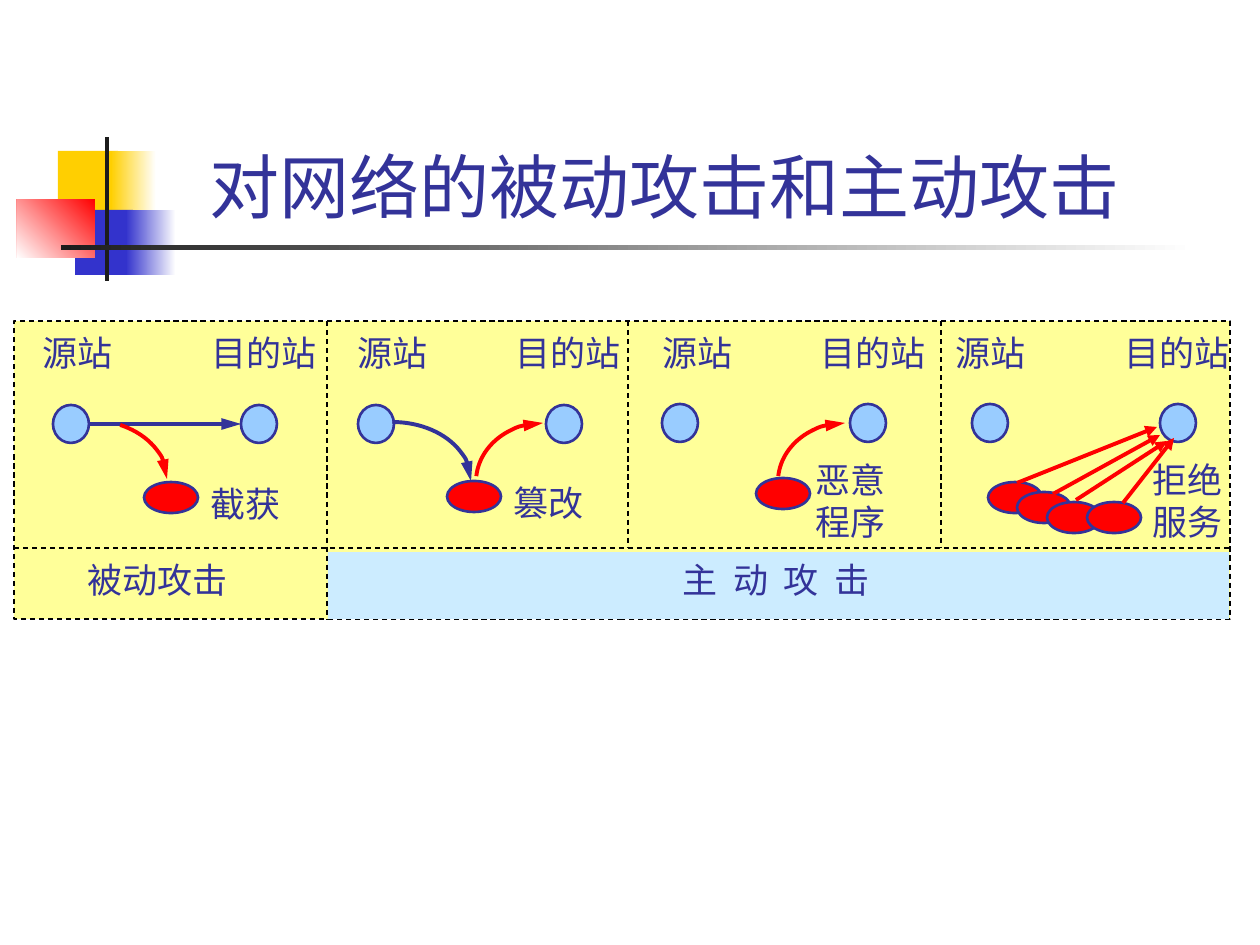
"""Build a slide that compares passive and active network attacks."""
from dataclasses import dataclass
from typing import Optional

from lxml import etree
from pptx import Presentation
from pptx import util as u
from pptx.dml import color
from pptx.enum import dml, shapes, text
from pptx.oxml import ns

PX = 914400 / 126
FONT = "Arial"
COLORS = {
    "ink": "333399", "black": "000000", "white": "FFFFFF", "panel": "FFFF99",
    "active": "CCECFF", "station": "99CCFF", "attack": "FF0000",
    "yellow": "FFCF01", "blue": "3333CC", "dark": "1C1C1C",
}


@dataclass(frozen=True)
class Box:
    left: int
    top: int
    width: int
    height: int


@dataclass(frozen=True)
class Block:
    box: Box
    start: str
    end: Optional[str] = None
    angle: int = 180


@dataclass(frozen=True)
class Label:
    wording: str
    box: Box


@dataclass(frozen=True)
class Scene:
    source_label: int
    target_label: int
    source: int
    top: int


@dataclass(frozen=True)
class Curve:
    box: Box
    start: int
    end: int
    tint: str


DECORATION = [
    Block(Box(58, 151, 60, 66), "yellow"),
    Block(Box(111, 151, 45, 66), "white", "yellow"),
    Block(Box(75, 210, 58, 65), "blue"),
    Block(Box(126, 210, 50, 65), "white", "blue"),
    Block(Box(17, 199, 78, 59), "attack", "white", 225),
    Block(Box(105, 137, 4, 144), "dark"),
    Block(Box(61, 245, 1134, 5), "white", "dark"),
]
PANEL = Box(14, 321, 1216, 298)
ACTIVE_BAND = Box(328, 552, 901, 67)
ROW_LINE = 548
DIVIDERS = [(327, 619), (628, ROW_LINE), (941, ROW_LINE)]
SCENES = [
    Scene(30, 199, 53, 405), Scene(345, 503, 358, 405),
    Scene(650, 808, 662, 404), Scene(943, 1112, 972, 404),
]
STATION_GAP = 188
ATTACKERS = [(144, 482), (447, 481), (756, 478),
             (988, 482), (1017, 492), (1047, 502), (1087, 502)]
CURVES = [
    Curve(Box(11, 420, 156, 118), 300, 0, "attack"),
    Curve(Box(314, 422, 157, 118), 270, 0, "ink"),
    Curve(Box(476, 423, 134, 118), 185, 270, "attack"),
    Curve(Box(778, 423, 134, 118), 185, 270, "attack"),
]
FLOOD = [(1017, 483, 1157, 427), (1053, 494, 1160, 435),
         (1076, 500, 1167, 441), (1123, 503, 1174, 438)]
LABELS = [
    Label("截获", Box(198, 476, 95, 55)),
    Label("篡改", Box(501, 475, 95, 55)),
    Label("恶意\n程序", Box(803, 452, 95, 97)),
    Label("拒绝\n服务", Box(1140, 452, 95, 97)),
    Label("被动攻击", Box(75, 552, 170, 55)),
    Label("主  动  攻  击", Box(670, 552, 213, 55)),
]


def px(length: int) -> u.Emu:
    return u.Emu(round(length * PX))


def frame(box: Box) -> list:
    return [px(side) for side in (box.left, box.top, box.width, box.height)]


def rgb(name: str) -> color.RGBColor:
    return color.RGBColor.from_string(COLORS[name])


def style_line(line, tint: str, width: float, dashed: bool = False) -> None:
    line.color.rgb = rgb(tint)
    line.width = u.Pt(width)
    if dashed:
        line.dash_style = dml.MSO_LINE.DASH


def add_arrowhead(line, length: str) -> None:
    etree.SubElement(line._get_or_add_ln(), ns.qn("a:tailEnd"),
                     type="triangle", w="med", len=length)


def add_filled(slide, kind, box: Box, fill: str):
    figure = slide.shapes.add_shape(kind, *frame(box))
    figure.shadow.inherit = False
    figure.fill.solid()
    figure.fill.fore_color.rgb = rgb(fill)
    figure.line.fill.background()
    return figure


def add_block(slide, block: Block) -> None:
    square = add_filled(slide, shapes.MSO_SHAPE.RECTANGLE, block.box, block.start)
    if block.end:
        square.fill.gradient()
        square.fill.gradient_angle = block.angle
        for stop, tint in zip(square.fill.gradient_stops, (block.start, block.end)):
            stop.color.rgb = rgb(tint)


def add_oval(slide, box: Box, fill: str) -> None:
    oval = add_filled(slide, shapes.MSO_SHAPE.OVAL, box, fill)
    style_line(oval.line, "ink", 1.5)


def add_straight(slide, ends: tuple, tint: str, head: Optional[str] = None) -> None:
    straight = slide.shapes.add_connector(
        shapes.MSO_CONNECTOR.STRAIGHT, *[px(value) for value in ends])
    style_line(straight.line, tint, 2.25 if head else 0.75, dashed=not head)
    if head:
        add_arrowhead(straight.line, head)
    etree.SubElement(straight._element.spPr, ns.qn("a:effectLst"))


def add_curve(slide, curve: Curve) -> None:
    arc = slide.shapes.add_shape(shapes.MSO_SHAPE.ARC, *frame(curve.box))
    arc.shadow.inherit = False
    arc.fill.background()
    arc.adjustments[0] = curve.start * 0.6
    arc.adjustments[1] = curve.end * 0.6
    style_line(arc.line, curve.tint, 2.25)
    add_arrowhead(arc.line, "lg")


def format_runs(body, size: int) -> None:
    for paragraph in body.paragraphs:
        for run in paragraph.runs:
            run.font.name = FONT
            run.font.size = u.Pt(size)
            run.font.color.rgb = rgb("ink")


def add_label(slide, label: Label) -> None:
    body = slide.shapes.add_textbox(*frame(label.box)).text_frame
    body.text = label.wording
    body.word_wrap = False
    body.auto_size = text.MSO_AUTO_SIZE.SHAPE_TO_FIT_TEXT
    format_runs(body, 20)


def add_title(slide) -> None:
    title = slide.shapes.title
    title.left, title.top, title.width, title.height = frame(Box(192, 128, 945, 106))
    body = title.text_frame
    body.text = "对网络的被动攻击和主动攻击"
    body.auto_size = text.MSO_AUTO_SIZE.NONE
    body.vertical_anchor = text.MSO_ANCHOR.BOTTOM
    body.paragraphs[0].alignment = text.PP_ALIGN.CENTER
    format_runs(body, 40)


def main() -> None:
    deck = Presentation()
    deck.slide_width, deck.slide_height = px(1260), px(945)
    slide = deck.slides.add_slide(deck.slide_layouts[5])
    for block in DECORATION:
        add_block(slide, block)
    add_title(slide)
    panel = add_filled(slide, shapes.MSO_SHAPE.RECTANGLE, PANEL, "panel")
    style_line(panel.line, "black", 0.75, dashed=True)
    add_filled(slide, shapes.MSO_SHAPE.RECTANGLE, ACTIVE_BAND, "active")
    add_straight(slide, (PANEL.left, ROW_LINE, PANEL.left + PANEL.width, ROW_LINE),
                 "black")
    for x, bottom in DIVIDERS:
        add_straight(slide, (x, PANEL.top, x, bottom), "black")
    for scene in SCENES:
        add_label(slide, Label("源站", Box(scene.source_label, 325, 95, 55)))
        add_label(slide, Label("目的站", Box(scene.target_label, 325, 130, 55)))
        for left in (scene.source, scene.source + STATION_GAP):
            add_oval(slide, Box(left, scene.top, 36, 38), "station")
    add_straight(slide, (89, 424, 241, 424), "ink", "lg")
    for curve in CURVES:
        add_curve(slide, curve)
    for left, top in ATTACKERS:
        add_oval(slide, Box(left, top, 54, 31), "attack")
    for ends in FLOOD:
        add_straight(slide, ends, "attack", "med")
    for label in LABELS:
        add_label(slide, label)
    deck.save("out.pptx")


if __name__ == "__main__":
    main()
